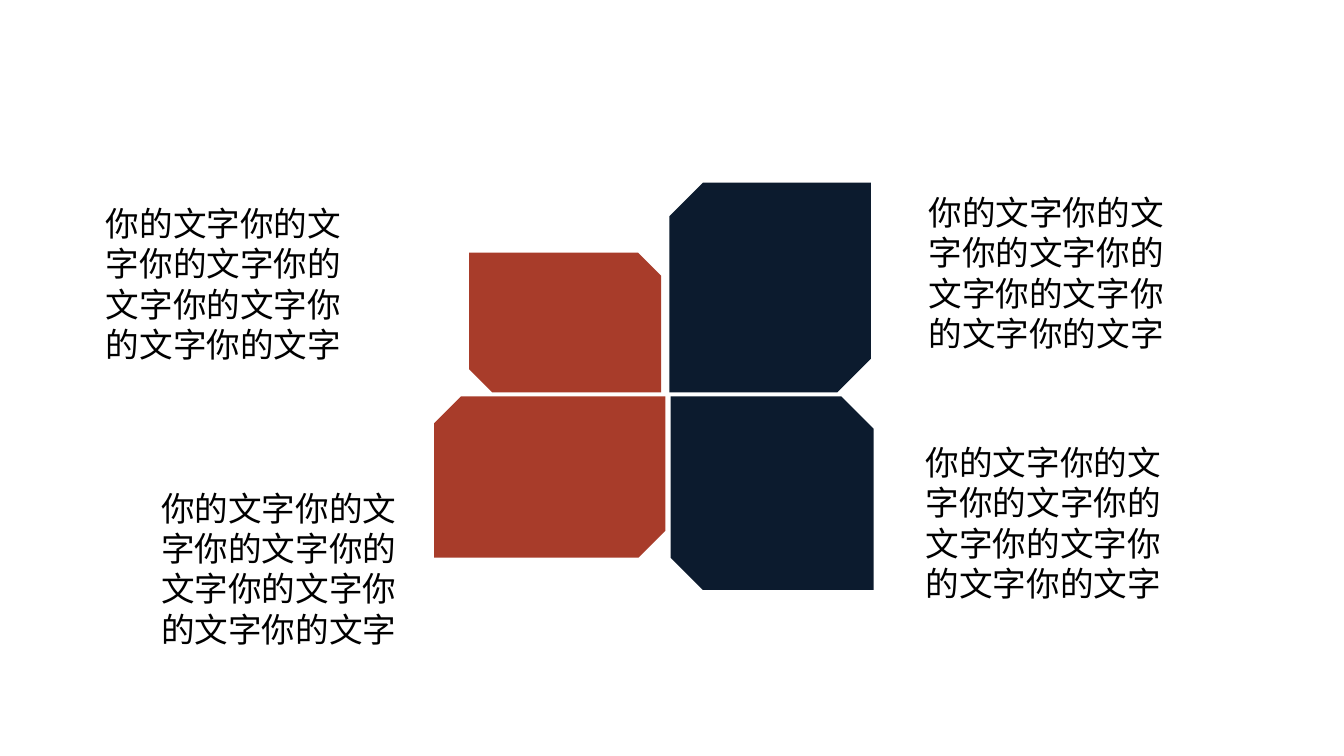
from pptx import Presentation
from pptx.dml.color import RGBColor
from pptx.enum.shapes import MSO_SHAPE
from pptx.enum.text import MSO_AUTO_SIZE
from pptx.util import Inches, Pt

RED = RGBColor(0xA8, 0x3C, 0x2A)
NAVY = RGBColor(0x0C, 0x1B, 0x2E)
BLACK = RGBColor(0, 0, 0)

CAPTION = "你的文字" * 7
CAPTION_SIZE = (2.13, 1.62)
CAPTION_CORNERS = [(0.69, 1.46), (6.81, 1.38), (1.1, 3.58), (6.79, 3.24)]
PETALS = [
    ((3.49, 1.88, 1.43, 1.04), 0, RED),
    ((4.95, 1.39, 1.56, 1.5), 90, NAVY),
    ((3.49, 2.69, 1.2, 1.72), 90, RED),
    ((4.99, 2.95, 1.51, 1.44), 0, NAVY),
]


def add_petal(page, bounds, rotation, color):
    petal = page.shapes.add_shape(MSO_SHAPE.SNIP_2_DIAG_RECTANGLE, *map(Inches, bounds))
    petal.rotation = rotation
    petal.shadow.inherit = False
    petal.fill.solid()
    petal.fill.fore_color.rgb = color
    petal.line.fill.background()


def add_caption(page, corner):
    box = page.shapes.add_textbox(*map(Inches, corner + CAPTION_SIZE))
    frame = box.text_frame
    frame.word_wrap = True
    frame.auto_size = MSO_AUTO_SIZE.SHAPE_TO_FIT_TEXT
    frame.text = CAPTION
    font = frame.paragraphs[0].runs[0].font
    font.name = "Calibri"
    font.size = Pt(18)
    font.color.rgb = BLACK


def main():
    """Build the four-petal slide with its captions."""
    deck = Presentation()
    deck.slide_width = Inches(10)
    deck.slide_height = deck.slide_width * 9 // 16
    page = deck.slides.add_slide(deck.slide_layouts[6])
    for bounds, rotation, color in PETALS:
        add_petal(page, bounds, rotation, color)
    for corner in CAPTION_CORNERS:
        add_caption(page, corner)
    deck.save("out.pptx")


main()
